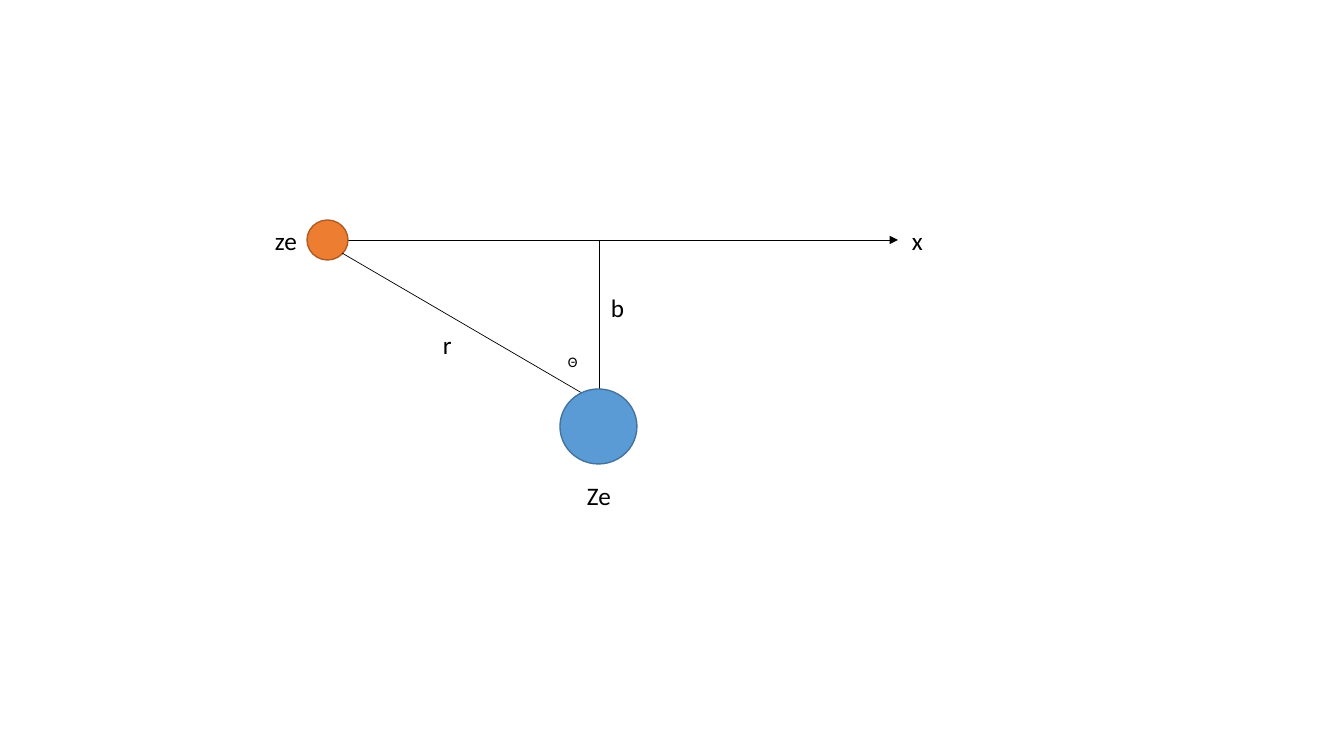
from pptx import Presentation
from pptx import util as u
from pptx.dml.color import RGBColor
from pptx.enum import shapes, text
from pptx.oxml.ns import qn
from lxml import etree

SCALE = 914400 / 100.8
INKS = {"black": "000000", "orange": "ED7D31", "rust": "AF5C24",
        "blue": "5B9BD5", "navy": "43739E"}


def px(*sizes):
    """Turn pixels into EMU."""
    return [u.Emu(round(n * SCALE)) for n in sizes]


def ink(name):
    """Look up a colour."""
    return RGBColor.from_string(INKS[name])


class Sketch:
    """Style and current slide."""
    font = "Calibri"
    size = u.Pt(18)

    def __init__(self, slide):
        """Keep the slide's shapes."""
        self.shapes = slide.shapes

    def line(self, start, end, arrow=False):
        """Draw a thin black line, with an arrowhead at its end if asked."""
        line = self.shapes.add_connector(
            shapes.MSO_CONNECTOR.STRAIGHT, *px(*start, *end))
        line.line.color.rgb = ink("black")
        line.line.width = u.Pt(0.5)
        props = line._element.spPr
        if arrow:
            etree.SubElement(props.find(qn("a:ln")), qn("a:tailEnd"),
                             type="triangle")
        etree.SubElement(props, qn("a:effectLst"))

    def ball(self, box, fill, edge):
        """Draw a filled, outlined circle."""
        ball = self.shapes.add_shape(shapes.MSO_SHAPE.OVAL, *px(*box))
        ball.shadow.inherit = False
        ball.fill.solid()
        ball.fill.fore_color.rgb = ink(fill)
        ball.line.color.rgb = ink(edge)
        ball.line.width = u.Pt(1)

    def label(self, words, box, wrap=False, lift=0):
        """Write a label, raised by lift percent as superscript."""
        frame = self.shapes.add_textbox(*px(*box)).text_frame
        frame.word_wrap = wrap
        frame.auto_size = text.MSO_AUTO_SIZE.SHAPE_TO_FIT_TEXT
        run = frame.paragraphs[0].add_run()
        run.text = words
        run.font.name = self.font
        run.font.size = self.size
        run.font.color.rgb = ink("black")
        if lift:
            run.font._element.set("baseline", str(lift * 1000))


deck = Presentation()
deck.slide_width, deck.slide_height = px(1344, 756)
sketch = Sketch(deck.slides.add_slide(deck.slide_layouts[6]))

path_y, core_x = 240, 599
tall = 40

sketch.line((345, path_y), (898, path_y), arrow=True)
sketch.line((core_x, path_y), (core_x, 400))
sketch.ball((307, 220, 41, 40), "orange", "rust")
sketch.line((342, 253), (core_x, 403))
sketch.ball((560, 389, 77, 75), "blue", "navy")

for words, left, top, wide in (
        ("Ze", 577, 475, 44), ("ze", 265, 220, 42), ("b", 601, 287, 34),
        ("r", 433, 324, 29), ("x", 902, 220, 31)):
    sketch.label(words, (left, top, wide, tall))
sketch.label("Θ", (558, 345, 42, 30), wrap=True, lift=30)

deck.save("out.pptx")
